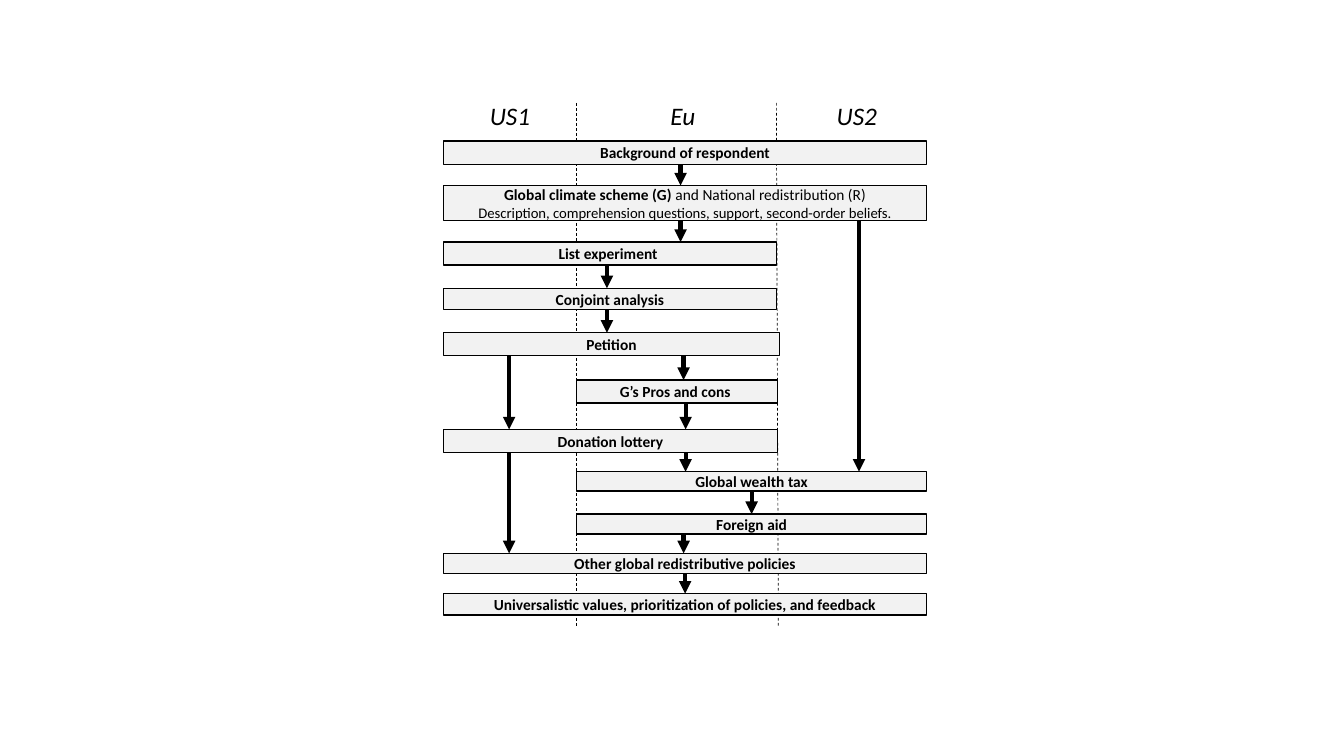
from dataclasses import dataclass

from lxml import etree
from pptx import Presentation
from pptx.dml.color import RGBColor
from pptx.enum.dml import MSO_LINE
from pptx.enum.shapes import MSO_CONNECTOR, MSO_SHAPE
from pptx.enum.text import MSO_ANCHOR, PP_ALIGN
from pptx.oxml.ns import qn
from pptx.shapes.autoshape import Shape
from pptx.shapes.connector import Connector
from pptx.slide import Slide
from pptx.text.text import Font
from pptx.util import Inches, Pt

RECT = MSO_SHAPE.RECTANGLE
STRAIGHT = MSO_CONNECTOR.STRAIGHT
DASH = MSO_LINE.DASH
CENTER = PP_ALIGN.CENTER
MIDDLE = MSO_ANCHOR.MIDDLE
TOP, BOTTOM = 0, 2
BLACK, GREY = "000000", "F2F2F2"
FACE = "Calibri"
LEFT, EU, US, RIGHT = 4.4, 5.72, 7.7, 9.19
SLACK = 0.02


@dataclass
class Step:
    text: str
    left: float
    top: float
    right: float
    height: float

    @property
    def mid(self) -> float:
        return (self.left + self.right) / 2

    @property
    def base(self) -> float:
        return self.top + self.height


@dataclass
class Arrow:
    start: str
    end: str
    x: float


STEPS = {
    "back": Step("Background of respondent", LEFT, 1.4, RIGHT, 0.23),
    "scheme": Step("", LEFT, 1.84, RIGHT, 0.35),
    "list": Step("List experiment ", LEFT, 2.4, US, 0.23),
    "joint": Step("Conjoint analysis", LEFT, 2.86, US, 0.21),
    "sign": Step("Petition", LEFT, 3.3, 7.73, 0.23),
    "pros": Step("G’s Pros and cons ", EU, 3.77, 7.71, 0.23),
    "gift": Step("Donation lottery", LEFT, 4.26, 7.71, 0.23),
    "tax": Step("Global wealth tax", EU, 4.68, RIGHT, 0.19),
    "aid": Step("Foreign aid", EU, 5.1, RIGHT, 0.2),
    "other": Step("Other global redistributive policies", LEFT, 5.49, RIGHT, 0.2),
    "values": Step("Universalistic values, prioritization of policies, and feedback",
                   LEFT, 5.89, RIGHT, 0.21),
}

ARROWS = [
    Arrow("back", "scheme", 6.75),
    Arrow("scheme", "list", 6.75),
    Arrow("scheme", "tax", 8.52),
    Arrow("list", "joint", 6.02),
    Arrow("joint", "sign", 6.02),
    Arrow("sign", "gift", 5.05),
    Arrow("sign", "pros", 6.78),
    Arrow("pros", "gift", 6.8),
    Arrow("gift", "other", 5.05),
    Arrow("gift", "tax", 6.8),
    Arrow("tax", "aid", 7.47),
    Arrow("aid", "other", 6.78),
    Arrow("other", "values", 6.78),
]


def paint(hue: str) -> RGBColor:
    return RGBColor.from_string(hue)


def style(font: Font, size: float, bold: bool = False, slant: bool = False) -> None:
    font.name = FACE
    font.size = Pt(size)
    font.bold = bold
    font.italic = slant
    font.color.rgb = paint(BLACK)


def add_line(slide: Slide, x1: float, y1: float, x2: float, y2: float,
             width: float) -> Connector:
    line = slide.shapes.add_connector(
        STRAIGHT, Inches(x1), Inches(y1), Inches(x2), Inches(y2))
    line.line.color.rgb = paint(BLACK)
    line.line.width = Pt(width)
    etree.SubElement(line._element.spPr, qn("a:effectLst"))
    return line


def add_step(slide: Slide, step: Step) -> Shape:
    box = slide.shapes.add_shape(
        RECT, Inches(step.left), Inches(step.top),
        Inches(step.right - step.left), Inches(step.height))
    box.shadow.inherit = False
    box.fill.solid()
    box.fill.fore_color.rgb = paint(GREY)
    box.line.color.rgb = paint(BLACK)
    box.line.width = Pt(1)
    frame = box.text_frame
    frame.word_wrap = True
    frame.vertical_anchor = MIDDLE
    para = frame.paragraphs[0]
    para.alignment = CENTER
    if step.text:
        para.text = step.text
        style(para.runs[0].font, 11, bold=True)
    return box


def fill_scheme(box: Shape) -> None:
    head = box.text_frame.paragraphs[0]
    note = box.text_frame.add_paragraph()
    note.alignment = CENTER
    for para, text, size, bold in (
        (head, "Global climate scheme (G) ", 11, True),
        (head, "and National redistribution (R)", 11, False),
        (note, "Description, comprehension questions, support, second-order beliefs.",
         10.5, False),
    ):
        run = para.add_run()
        run.text = text
        style(run.font, size, bold)


def add_arrow(slide: Slide, arrow: Arrow, boxes: dict[str, Shape]) -> None:
    start, end = STEPS[arrow.start], STEPS[arrow.end]
    line = add_line(slide, arrow.x, start.base, arrow.x, end.top, 3)
    etree.SubElement(line.line._get_or_add_ln(), qn("a:tailEnd"), type="triangle")
    if all(abs(arrow.x - step.mid) <= SLACK for step in (start, end)):
        line.begin_connect(boxes[arrow.start], BOTTOM)
        line.end_connect(boxes[arrow.end], TOP)


def add_heads(slide: Slide) -> None:
    box = slide.shapes.add_textbox(
        Inches(4.76), Inches(0.95), Inches(4.13), Inches(0.4))
    box.text_frame.word_wrap = True
    para = box.text_frame.paragraphs[0]
    para.text = "US1\tEu\tUS2"
    tabs = etree.SubElement(para._p.get_or_add_pPr(), qn("a:tabLst"))
    for stop in (1.79, 3.44):
        etree.SubElement(tabs, qn("a:tab"), pos=str(Inches(stop)), algn="l")
    for run in para.runs:
        style(run.font, 18, slant=True)


def main() -> None:
    deck = Presentation()
    deck.slide_width, deck.slide_height = Inches(13.33), Inches(7.5)
    slide = deck.slides.add_slide(deck.slide_layouts[6])
    for x1, x2 in ((US, 7.72), (EU, EU)):
        add_line(slide, x1, 1.02, x2, 6.22, 0.5).line.dash_style = DASH
    boxes = {key: add_step(slide, step) for key, step in STEPS.items()}
    fill_scheme(boxes["scheme"])
    for arrow in ARROWS:
        add_arrow(slide, arrow, boxes)
    add_heads(slide)
    deck.save("out.pptx")


if __name__ == "__main__":
    main()
